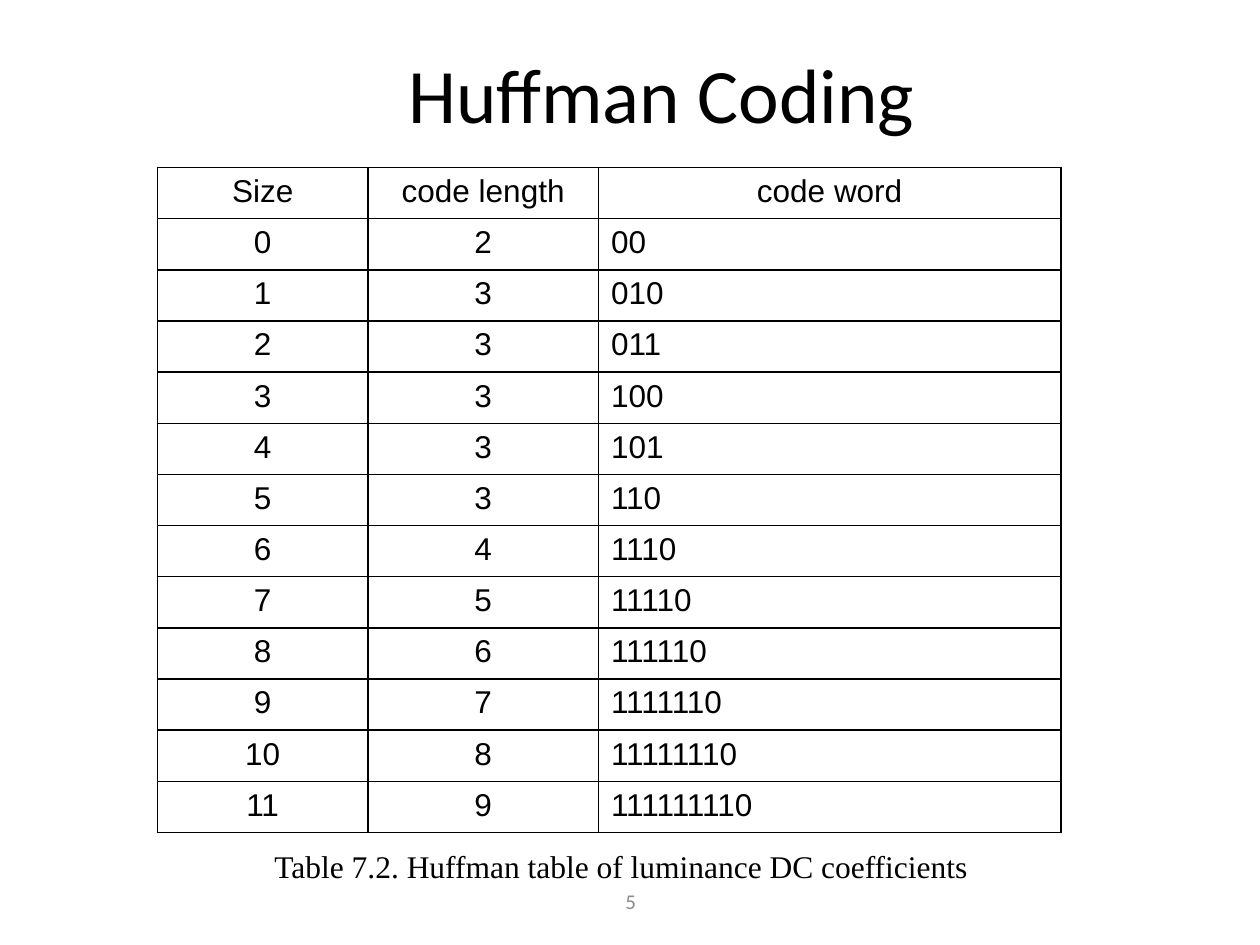
from lxml.etree import SubElement
from pptx import Presentation
from pptx.dml.color import RGBColor
from pptx.enum.text import MSO_ANCHOR, PP_ALIGN
from pptx.oxml.ns import qn
from pptx.util import Inches, Pt

BLACK = RGBColor(0x00, 0x00, 0x00)
GRAY = RGBColor(0x8C, 0x8C, 0x8C)

TITLE = "Huffman Coding"
CAPTION = "Table 7.2. Huffman table of luminance DC coefficients"
PAGE_NUMBER = "5"
HEADER = ("Size", "code length", "code word")
CODE_WORDS = (
    "00", "010", "011", "100", "101", "110", "1110", "11110",
    "111110", "1111110", "11111110", "111111110",
)
COLUMN_WIDTHS = (1.67, 1.83, 3.67)
TABLE_LEFT, TABLE_TOP, TABLE_HEIGHT = 1.25, 1.33, 5.28


def style_paragraph(para, font_name, size, color, align):
    para.alignment = align
    para.font.name = font_name
    para.font.size = Pt(size)
    para.font.bold = False
    para.font.color.rgb = color


def add_text(page, text, place, font_name, size, color=BLACK,
             align=PP_ALIGN.CENTER, anchor=MSO_ANCHOR.MIDDLE, wrap=True):
    box = page.shapes.add_textbox(*map(Inches, place))
    frame = box.text_frame
    frame.word_wrap = wrap
    frame.vertical_anchor = anchor
    frame.text = text
    style_paragraph(frame.paragraphs[0], font_name, size, color, align)


def add_borders(cell):
    """Draw a thin black line on all four sides, ahead of the cell's fill."""
    properties = cell._tc.get_or_add_tcPr()
    for position, side in enumerate(("lnL", "lnR", "lnT", "lnB")):
        line = SubElement(properties, qn(f"a:{side}"), w=str(Pt(1)))
        fill = SubElement(line, qn("a:solidFill"))
        SubElement(fill, qn("a:srgbClr"), val=str(BLACK))
        properties.insert(position, line)


def add_code_table(page):
    rows = [HEADER] + [
        (str(size), str(len(word)), word) for size, word in enumerate(CODE_WORDS)
    ]
    table = page.shapes.add_table(
        len(rows), len(HEADER), Inches(TABLE_LEFT), Inches(TABLE_TOP),
        Inches(sum(COLUMN_WIDTHS)), Inches(TABLE_HEIGHT),
    ).table
    table.first_row = False
    table.horz_banding = False
    for column, width in zip(table.columns, COLUMN_WIDTHS):
        column.width = Inches(width)
    for row_index, values in enumerate(rows):
        for column_index, value in enumerate(values):
            cell = table.cell(row_index, column_index)
            cell.text = value
            cell.fill.background()
            is_code_word = row_index > 0 and column_index == 2
            align = PP_ALIGN.LEFT if is_code_word else PP_ALIGN.CENTER
            style_paragraph(cell.text_frame.paragraphs[0], "Arial", 18, BLACK, align)
            add_borders(cell)


def main():
    deck = Presentation()
    deck.slide_width, deck.slide_height = Inches(10), Inches(7.5)
    page = deck.slides.add_slide(deck.slide_layouts[6])
    add_text(page, PAGE_NUMBER, (3.42, 6.95, 3.17, 0.4), "Calibri", 12, GRAY)
    add_text(page, TITLE, (1, 0.3, 8.5, 0.87), "Calibri", 44)
    add_code_table(page)
    add_text(page, CAPTION, (2.08, 6.67, 5.76, 0.4), "Times New Roman", 18,
             align=PP_ALIGN.LEFT, anchor=MSO_ANCHOR.TOP, wrap=False)
    deck.save("out.pptx")


if __name__ == "__main__":
    main()
